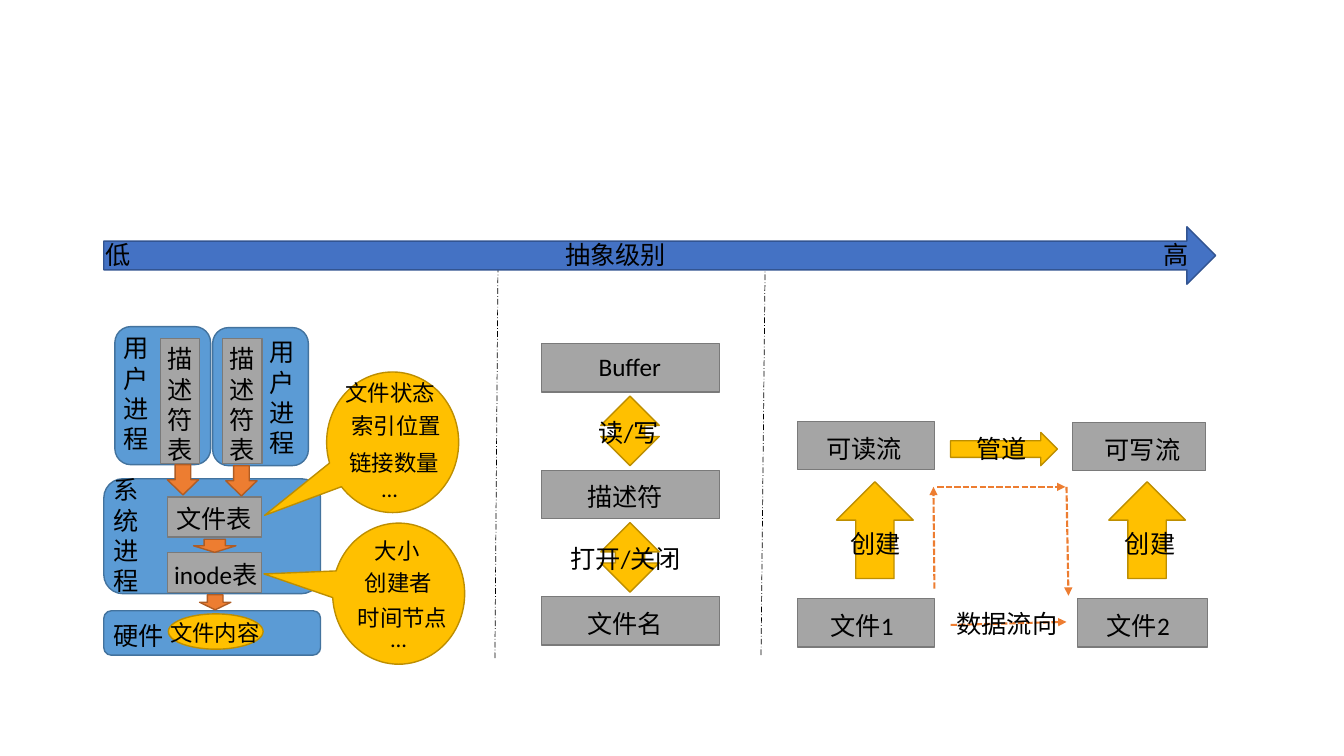
import pptx
import pptx.util
import pptx.dml.color
import pptx.enum.dml
import pptx.enum.shapes
import pptx.enum.text
import pptx.oxml.ns
from lxml import etree

SHAPE = pptx.enum.shapes.MSO_SHAPE
DASH = pptx.enum.dml.MSO_LINE


def color(value):
    return pptx.dml.color.RGBColor.from_string(value)


class Diagram:
    FONT = "Calibri"
    INK = "000000"
    BLUE = ("5B9BD5", "43739E")
    GREY = ("A5A5A5", "7A7A7A")
    GOLD = ("FFC000", "BD8E00")
    ORANGE = ("ED7D31", "AF5C24")
    NAVY = ("4472C4", "325491")
    COLUMNS, ROWS = 133.33, 75

    def __init__(self, prs):
        self.s = prs.slides.add_slide(prs.slide_layouts[6])
        self.column = prs.slide_width / self.COLUMNS
        self.row = prs.slide_height / self.ROWS

    def grid(self, *cells):
        units = (self.column, self.row)
        return [pptx.util.Emu(round(c * units[i % 2])) for i, c in enumerate(cells)]

    def shape(self, kind, box, style, adjust=()):
        sp = self.s.shapes.add_shape(kind, *self.grid(*box))
        sp.shadow.inherit = False
        sp.fill.solid()
        sp.fill.fore_color.rgb = color(style[0])
        sp.line.color.rgb = color(style[1])
        sp.line.width = pptx.util.Pt(1)
        for i, value in enumerate(adjust):
            sp.adjustments[i] = value

    def label(self, text, x, y, w, h=4, size=18):
        tf = self.s.shapes.add_textbox(*self.grid(x, y, w, h)).text_frame
        tf.word_wrap = True
        tf.auto_size = pptx.enum.text.MSO_AUTO_SIZE.SHAPE_TO_FIT_TEXT
        tf.text = text
        font = tf.paragraphs[0].runs[0].font
        font.name = self.FONT
        font.size = pptx.util.Pt(size)
        font.color.rgb = color(self.INK)

    def line(self, ends, ink, width, dash, arrow=False):
        straight = pptx.enum.shapes.MSO_CONNECTOR.STRAIGHT
        cx = self.s.shapes.add_connector(straight, *self.grid(*ends))
        cx.line.color.rgb = color(ink)
        cx.line.width = pptx.util.Pt(width)
        cx.line.dash_style = dash
        if arrow:
            tail = etree.SubElement(cx.line._get_or_add_ln(), pptx.oxml.ns.qn("a:tailEnd"))
            tail.set("type", "triangle")
        etree.SubElement(cx._element.spPr, pptx.oxml.ns.qn("a:effectLst"))


prs = pptx.Presentation()
prs.slide_width = pptx.util.Inches(13.33)
prs.slide_height = pptx.util.Inches(7.5)
d = Diagram(prs)

for top, height in ((60.6, 4.4), (47.5, 11.4)):
    d.shape(SHAPE.ROUNDED_RECTANGLE, (10.3, top, 21.5, height), d.BLUE)
d.label("硬件", 10.3, 61, 16.4)
d.label("系统进程", 10.3, 46.6, 3.9, 13.1)

processes = (
    (11.4, 32.4, 11.3, 32.5, 15.9, 33.6),
    (21.1, 32.5, 25.8, 32.9, 22.1, 33.6),
)
for x, y, name_x, name_y, table_x, table_y in processes:
    d.shape(SHAPE.ROUNDED_RECTANGLE, (x, y, 9.5, 13.7), d.BLUE)
    d.label("用户进程", name_x, name_y, 4, 13.1)
    d.shape(SHAPE.RECTANGLE, (table_x, table_y, 3.9, 12.4), d.GREY)
    d.label("描述符表", table_x - 0.3, table_y, 4.3, 13.1)

for text, y, x, width in (("文件表", 49.3, 16.5, 10.9), ("inode表", 54.8, 16.3, 13.3)):
    d.shape(SHAPE.RECTANGLE, (16.6, y, 9.35, 4), d.GREY)
    d.label(text, x, y + 0.15, width)

down_arrows = (
    (16.6, 46.1, 3.1, 3),
    (22.4, 46.2, 3.1, 3),
    (19.2, 53.5, 4.2, 1.3),
    (19.8, 59, 3.1, 1.5),
)
for box in down_arrows:
    d.shape(SHAPE.DOWN_ARROW, box, d.ORANGE)

d.shape(SHAPE.OVAL, (16.7, 60.9, 9.4, 3.5), d.GOLD)
d.label("文件内容", 15.9, 60.9, 11.5, 3.7, 16)

callouts = (
    ((32.4, 36.9, 13.1, 13.95), (-0.97, 0.52),
     (("文件状态", 33.3, 37.1), ("索引位置", 33.9, 40.4), ("链接数量", 33.7, 44.1), ("…", 36.9, 46.6))),
    ((33, 51.9, 13.1, 14), (-1.02, -0.14),
     (("大小", 36.2, 52.8), ("创建者", 35.2, 56), ("时间节点", 34.5, 59.4), ("…", 37.8, 61.5))),
)
for box, pointer, notes in callouts:
    d.shape(SHAPE.OVAL_CALLOUT, box, d.GOLD, pointer)
    for text, x, y in notes:
        d.label(text, x, y, 12, 3.7, 16)

STEP = 12.55
for i, (text, x, y) in enumerate((("Buffer", 58.4, 34.4), ("描述符", 57.3, 47.3), ("文件名", 57.3, 59.9))):
    d.shape(SHAPE.RECTANGLE, (53.7, 34.1 + i * STEP, 17.7, 4.8), d.GREY)
    d.label(text, x, y, 12.6)
for i, (text, x) in enumerate((("读/写", 58.4), ("打开/关闭", 55.6))):
    d.shape(SHAPE.UP_DOWN_ARROW, (59.6, 39.3 + i * STEP, 5.8, 6.9), d.GOLD)
    d.label(text, x, 40.9 + i * STEP, 15.5)

streams = (
    ("可读流", 79.1, 41.8, 13.6, 81),
    ("可写流", 106.4, 41.9, 13.2, 108.6),
    ("文件1", 79.1, 59.4, 13.6, 81.4),
    ("文件2", 106.9, 59.4, 12.9, 108.8),
)
for text, x, y, width, text_x in streams:
    d.shape(SHAPE.RECTANGLE, (x, y, width, 4.8), d.GREY)
    d.label(text, text_x, y + 0.7, 10.5)
for x, text_x in ((83, 83.4), (110, 110.6)):
    d.shape(SHAPE.UP_ARROW, (x, 47.8, 7.6, 9.6), d.GOLD)
    d.label("创建", text_x, 51.95, 7.4)
d.shape(SHAPE.RIGHT_ARROW, (94.3, 42.9, 10.6, 3.3), d.GOLD)
d.label("管道", 95.9, 42.5, 7.4)

flows = (
    (92.7, 58.4, 92.6, 48.3),
    (93, 48.3, 105.7, 48.3),
    (105.8, 48.3, 106, 59.1),
    (94.3, 62, 105.8, 61.7),
)
for ends in flows:
    d.line(ends, d.ORANGE[0], 1.5, DASH.SQUARE_DOT, arrow=True)
d.label("数据流向", 93.9, 59.9, 12.4)

for ends in ((49.1, 65.3, 49.4, 26.8), (75.5, 65, 75.9, 26.6)):
    d.line(ends, d.INK, 0.5, DASH.LONG_DASH_DOT)

d.shape(SHAPE.RIGHT_ARROW, (10.3, 22.5, 110.3, 5.7), d.NAVY)
for text, x, width in (("抽象级别", 55.1, 12.8), ("低", 9.5, 5.1), ("高", 114.4, 5.1)):
    d.label(text, x, 23.3, width)

prs.save("out.pptx")
